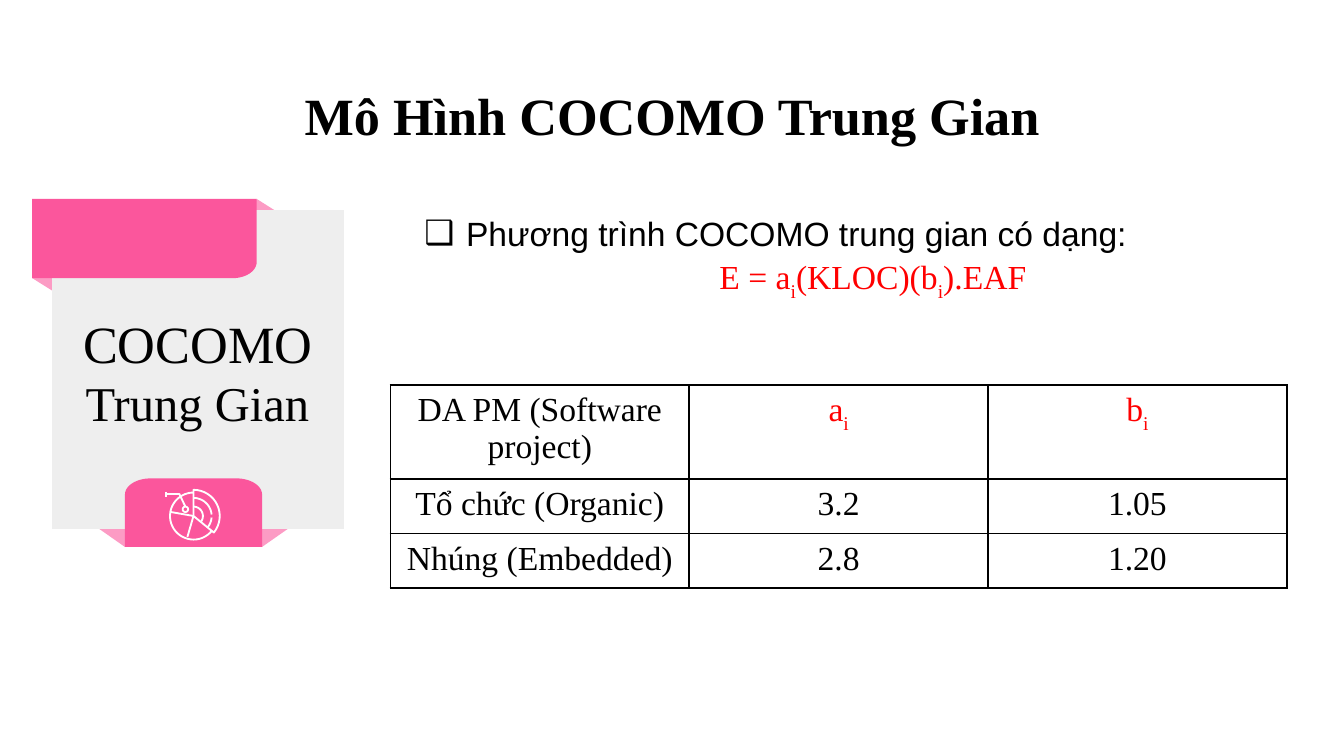
from math import cos, radians, sin

from lxml.etree import SubElement
from pptx import Presentation
from pptx.dml.color import RGBColor
from pptx.enum.text import MSO_ANCHOR, PP_ALIGN
from pptx.oxml.ns import qn
from pptx.util import Inches, Pt

THEME = {
    "pink": "FB569C", "card": "EEEEEE", "white": "FFFFFF", "ink": "000000", "accent": "FF0000",
    "serif": "Times New Roman", "sans": "Arial",
    "title": 28, "label": 26, "body": 18, "icon_line": 1, "border": 12700,
}

# Widescreen slide, 16 to 9
presentation = Presentation()
presentation.slide_width = Inches(10)
presentation.slide_height = presentation.slide_width * 9 // 16
slide = presentation.slides.add_slide(presentation.slide_layouts[6])

# Grid of 100 columns by 56.25 rows
COLUMN = presentation.slide_width / 100
ROW = presentation.slide_height / 56.25


def arc(center_x, center_y, radius_x, radius_y, start, end, steps=16):
    """Grid points along an elliptical arc, clockwise from the right."""
    angles = [radians(start + (end - start) * step / steps) for step in range(steps + 1)]
    return [(center_x + radius_x * cos(a), center_y + radius_y * sin(a)) for a in angles]


def outline(points, fill=None, opacity=None, closed=True):
    """A filled shape, or a white stroke when there is no fill."""
    corners = [(round(x * COLUMN), round(y * ROW)) for x, y in points]
    builder = slide.shapes.build_freeform(*corners[0], scale=1.0)
    builder.add_line_segments(corners[1:], close=closed)
    shape = builder.convert_to_shape()
    shape.shadow.inherit = False
    if fill:
        shape.fill.solid()
        shape.fill.fore_color.rgb = RGBColor.from_string(fill)
        shape.line.fill.background()
    else:
        shape.fill.background()
        shape.line.color.rgb = RGBColor.from_string(THEME["white"])
        shape.line.width = Pt(THEME["icon_line"])
    if opacity:
        color = shape.fill._xPr.find(".//" + qn("a:srgbClr"))
        SubElement(color, qn("a:alpha"), val=str(opacity * 1000))


# Ribbon folds behind the card
folds = [
    [(4.6, 20.5), (2.4, 20.7), (4.8, 22.2)],
    [(9.9, 39.1), (7.3, 39.3), (9.3, 40.7)],
    [(19, 39.1), (19.5, 40.7), (21.5, 39.3)],
    [(19.1, 14.8), (18.7, 16), (21, 16)],
]
for fold in folds:
    outline(fold, THEME["pink"], opacity=59)

# Card, top ribbon and bottom tab
outline([(3.9, 15.6), (3.9, 39.4), (25.6, 39.4), (25.6, 15.6)], THEME["card"])
outline([(19.1, 14.8), (2.4, 14.8), (2.4, 20.7)] + arc(17.3, 19.5, 1.8, 1.2, 90, 0),
        THEME["pink"])
outline([(19.5, 40.7), (9.3, 40.7)] + arc(11.2, 36.8, 1.9, 1.2, 180, 270)
        + arc(17.6, 36.8, 1.9, 1.2, 270, 360), THEME["pink"])

# Pie icon: centre, split angles and radii
hub = (14.4, 38.4)
wedge_start, wedge_end = -90, 39
icon_strokes = [
    arc(*hub, 1.75, 1.75, wedge_end, 360 + wedge_start, 32),
    [hub] + arc(*hub, 1.95, 1.95, wedge_start, wedge_end) + [hub],
    arc(*hub, 0.7, 0.7, wedge_start, wedge_end),
    arc(*hub, 1.35, 1.35, wedge_start, -5),
    arc(*hub, 1.35, 1.35, 5, wedge_end),
    [hub, (12.7, 38.1)],
    [hub, (13.95, 39.95)],
    [(12.35, 36.6), (12.35, 36.95)],
    [(12.35, 36.75), (13.35, 36.75), (13.8, 37.7)],
    arc(13.8, 37.9, 0.2, 0.2, 0, 360),
]
for stroke in icon_strokes:
    outline(stroke, closed=False)

# Text boxes: left, top, width, height, anchor, vertical inset
boxes = {
    "title": (7.75, 5.9, 84.5, 5.3, MSO_ANCHOR.MIDDLE, 1),
    "name": (4.45, 23.55, 20.5, 3.9, MSO_ANCHOR.MIDDLE, 1),
    "kind": (4.45, 27.1, 20.5, 5.7, MSO_ANCHOR.MIDDLE, 1),
    "equation": (30.6, 13.85, 68.7, 8.6, MSO_ANCHOR.TOP, 0.5),
}
frames = {}
for name, (left, top, width, height, anchor, inset) in boxes.items():
    box = slide.shapes.add_textbox(round(left * COLUMN), round(top * ROW),
                                   round(width * COLUMN), round(height * ROW))
    settings = {"word_wrap": True, "vertical_anchor": anchor,
                "margin_top": round(inset * ROW), "margin_bottom": round(inset * ROW)}
    for attribute, value in settings.items():
        setattr(box.text_frame, attribute, value)
    frames[name] = box.text_frame

# Coefficient table; "|" switches subscript on and off
coefficients = [
    ["DA PM (Software project)", "a|i", "b|i"],
    ["Tổ chức (Organic)", "3.2", "1.05"],
    ["Nhúng (Embedded)", "2.8", "1.20"],
]
row_heights = [7, 4.05, 4.05]
table = slide.shapes.add_table(3, 3, round(29.05 * COLUMN), round(28.65 * ROW),
                               round(66.7 * COLUMN), round(sum(row_heights) * ROW)).table
for table_row, height in zip(table.rows, row_heights):
    table_row.height = round(height * ROW)

# Paragraphs: paragraph, text, font format, paragraph format
serif = {"name": THEME["serif"], "size": Pt(THEME["body"]), "color": THEME["ink"], "bold": False}
red = serif | {"color": THEME["accent"]}
centered = {"alignment": PP_ALIGN.CENTER}
bulleted = frames["equation"].paragraphs[0]
texts = [
    (frames["title"].paragraphs[0], "Mô Hình COCOMO Trung Gian",
     serif | {"size": Pt(THEME["title"]), "bold": True}, centered),
    (frames["name"].paragraphs[0], "COCOMO", serif | {"size": Pt(THEME["title"])}, centered),
    (frames["kind"].paragraphs[0], "Trung Gian", serif | {"size": Pt(THEME["label"])}, centered),
    (bulleted, "Phương trình COCOMO trung gian có dạng:",
     serif | {"name": THEME["sans"]}, {"line_spacing": 1.5}),
    (frames["equation"].add_paragraph(), "E = a|i|(KLOC)(b|i|).EAF", red,
     centered | {"line_spacing": 1.07, "space_after": Pt(8)}),
]

# Cell borders
for row_index, row_texts in enumerate(coefficients):
    for column_index, text in enumerate(row_texts):
        cell = table.cell(row_index, column_index)
        properties = cell._tc.get_or_add_tcPr()
        for side in ("lnL", "lnR", "lnT", "lnB"):
            border = SubElement(properties, qn(f"a:{side}"), w=str(THEME["border"]))
            border_fill = SubElement(border, qn("a:solidFill"))
            SubElement(border_fill, qn("a:srgbClr"), val=THEME["ink"])
        cell.fill.background()
        font_format = red if "|" in text else serif
        texts.append((cell.text_frame.paragraphs[0], text, font_format, centered))

# Square bullet with a hanging indent
bullet_properties = bulleted._p.get_or_add_pPr()
bullet_properties.set("marL", str(round(3.1 * COLUMN)))
bullet_properties.set("indent", str(round(-3.1 * COLUMN)))
bullet_color = SubElement(bullet_properties, qn("a:buClr"))
SubElement(bullet_color, qn("a:srgbClr"), val=THEME["ink"])
SubElement(bullet_properties, qn("a:buFont"), typeface=THEME["sans"])
SubElement(bullet_properties, qn("a:buChar"), char="❑")

# Write all text
for paragraph, text, font_format, paragraph_format in texts:
    for attribute, value in paragraph_format.items():
        setattr(paragraph, attribute, value)
    for index, part in enumerate(text.split("|")):
        run = paragraph.add_run()
        run.text = part
        for attribute, value in font_format.items():
            if attribute == "color":
                run.font.color.rgb = RGBColor.from_string(value)
            else:
                setattr(run.font, attribute, value)
        if index % 2:
            run.font._element.set("baseline", "-25000")

presentation.save("out.pptx")
